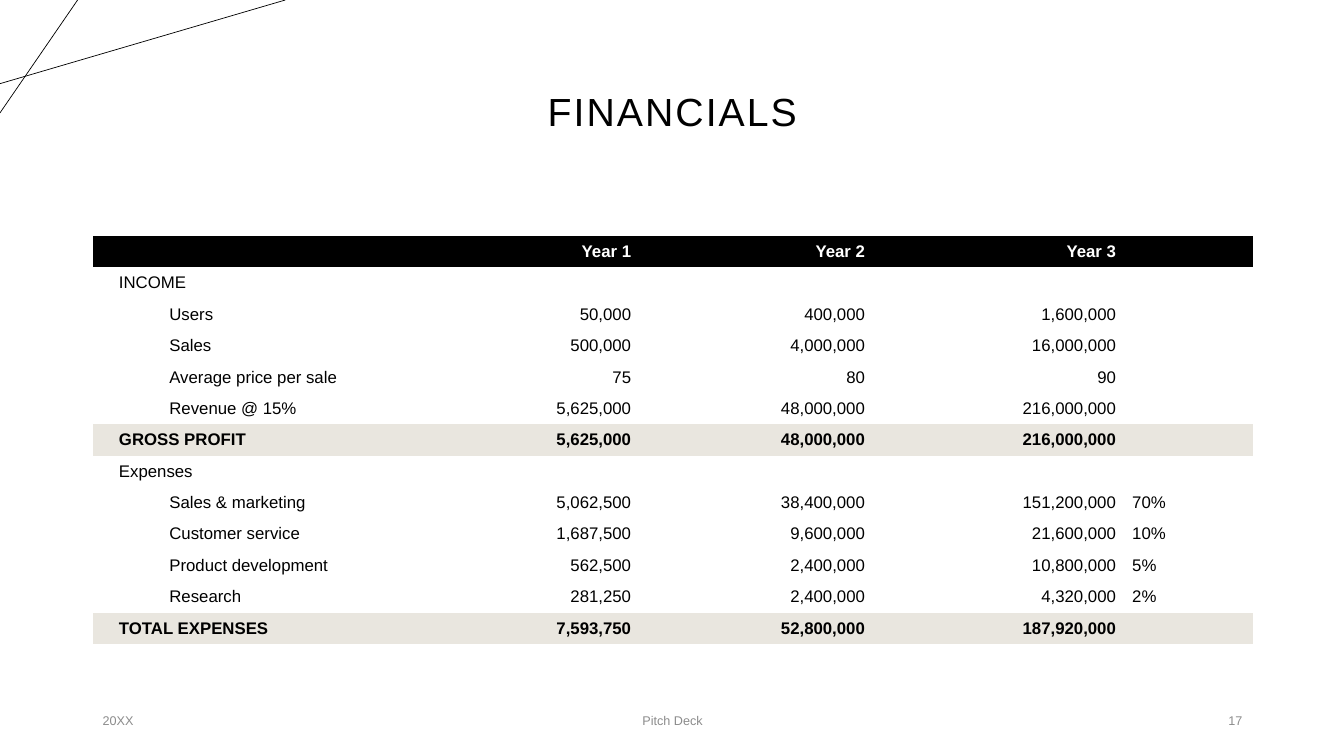
from lxml import etree
from pptx import Presentation, util as u
from pptx.dml.color import RGBColor
from pptx.enum import shapes, text
from pptx.oxml.ns import qn

WIDE, HIGH = 13.33, 7.5
EDGE, SPAN = 0.92, 11.5
COLS = [3.54, 1.88, 2.32, 2.49, 1.28]
TOP, ROW = 2.34, 4.05 / 13
INDENT = 0.5
BLACK, WHITE, SAND, GREY = "000000", "FFFFFF", "E9E6DF", "8C8C8C"
LEFT, MID, RIGHT = text.PP_ALIGN.LEFT, text.PP_ALIGN.CENTER, text.PP_ALIGN.RIGHT

TITLE = "FINANCIALS"
ROWS = [
    ("head", "", "Year 1", "Year 2", "Year 3", ""),
    ("group", "INCOME", "", "", "", ""),
    ("item", "Users", "50,000", "400,000", "1,600,000", ""),
    ("item", "Sales", "500,000", "4,000,000", "16,000,000", ""),
    ("item", "Average price per sale", "75", "80", "90", ""),
    ("item", "Revenue @ 15%", "5,625,000", "48,000,000", "216,000,000", ""),
    ("total", "GROSS PROFIT", "5,625,000", "48,000,000", "216,000,000", ""),
    ("group", "Expenses", "", "", "", ""),
    ("item", "Sales & marketing", "5,062,500", "38,400,000", "151,200,000", "70%"),
    ("item", "Customer service", "1,687,500", "9,600,000", "21,600,000", "10%"),
    ("item", "Product development", "562,500", "2,400,000", "10,800,000", "5%"),
    ("item", "Research", "281,250", "2,400,000", "4,320,000", "2%"),
    ("total", "TOTAL EXPENSES", "7,593,750", "52,800,000", "187,920,000", ""),
]
LOOKS = {
    "head": (BLACK, WHITE, True),
    "group": (None, BLACK, False),
    "item": (None, BLACK, False),
    "total": (SAND, BLACK, True),
}
FOOT = [
    ("20XX", EDGE, 3, LEFT),
    ("Pitch Deck", 4.42, 4.5, MID),
    ("17", 9.42, 3, RIGHT),
]
LINES = [((0, 0.83), (2.83, 0)), ((0.77, 0), (0, 1.12))]


def tint(code):
    return RGBColor.from_string(code)


def apply(thing, form):
    for key, val in form.items():
        setattr(thing, key, val)


def write(par, words, size, color, align, bold=False):
    par.alignment = align
    run = par.add_run()
    run.text = words
    apply(run.font, {"name": "Arial", "size": u.Pt(size), "bold": bold})
    run.font.color.rgb = tint(color)
    return run


def box(*sides):
    return [u.Inches(side) for side in sides]


def draw_lines(slide):
    for start, end in LINES:
        line = slide.shapes.add_connector(
            shapes.MSO_CONNECTOR.STRAIGHT, *box(*start, *end))
        line.line.width = u.Pt(0.5)
        line.line.color.rgb = tint(BLACK)
        etree.SubElement(line._element.spPr, qn("a:effectLst"))


def draw_title(slide):
    title = slide.shapes.title
    title.left, title.top, title.width, title.height = box(EDGE, 0.4, SPAN, 1.45)
    title.text_frame.vertical_anchor = text.MSO_ANCHOR.MIDDLE
    par = title.text_frame.paragraphs[0]
    par.line_spacing = 0.9
    run = write(par, TITLE, 28, BLACK, MID)
    run.font._element.set("spc", "150")


def draw_cell(cell, kind, col, words):
    fill, color, bold = LOOKS[kind]
    if fill:
        cell.fill.solid()
        cell.fill.fore_color.rgb = tint(fill)
    else:
        cell.fill.background()
    apply(cell, {
        "vertical_anchor": text.MSO_ANCHOR.MIDDLE,
        "margin_left": u.Inches(0.08 if col else 0.26),
        "margin_right": u.Inches(0.08),
        "margin_top": u.Inches(0.04),
        "margin_bottom": u.Inches(0.04),
    })
    par = cell.text_frame.paragraphs[0]
    if not words:
        etree.SubElement(par._p, qn("a:endParaRPr"), sz="1200")
        return
    write(par, words, 12, color, RIGHT if 0 < col < 4 else LEFT, bold)
    if kind == "item" and col == 0:
        par.level = 1
        par._p.get_or_add_pPr().set("marL", str(u.Inches(INDENT)))


def draw_table(slide):
    table = slide.shapes.add_table(
        len(ROWS), len(COLS), *box(EDGE, TOP, SPAN, ROW * len(ROWS))).table
    apply(table, {"first_row": False, "horz_banding": False})
    style = table._tbl.tblPr.find(qn("a:tableStyleId"))
    style.text = "{2D5ABB26-0587-4C30-8999-92F81FD0307C}"
    for col, wide in enumerate(COLS):
        table.columns[col].width = u.Inches(wide)
    for row, (kind, *cells) in enumerate(ROWS):
        table.rows[row].height = u.Inches(ROW)
        for col, words in enumerate(cells):
            draw_cell(table.cell(row, col), kind, col, words)


def draw_foot(slide):
    for words, left, wide, align in FOOT:
        frame = slide.shapes.add_textbox(*box(left, 6.95, wide, 0.4)).text_frame
        apply(frame, {"word_wrap": True, "vertical_anchor": text.MSO_ANCHOR.MIDDLE})
        write(frame.paragraphs[0], words, 9, GREY, align)


def main():
    deck = Presentation()
    deck.slide_width, deck.slide_height = box(WIDE, HIGH)
    slide = deck.slides.add_slide(deck.slide_layouts[5])
    draw_lines(slide)
    draw_title(slide)
    draw_table(slide)
    draw_foot(slide)
    deck.save("out.pptx")


if __name__ == "__main__":
    main()
